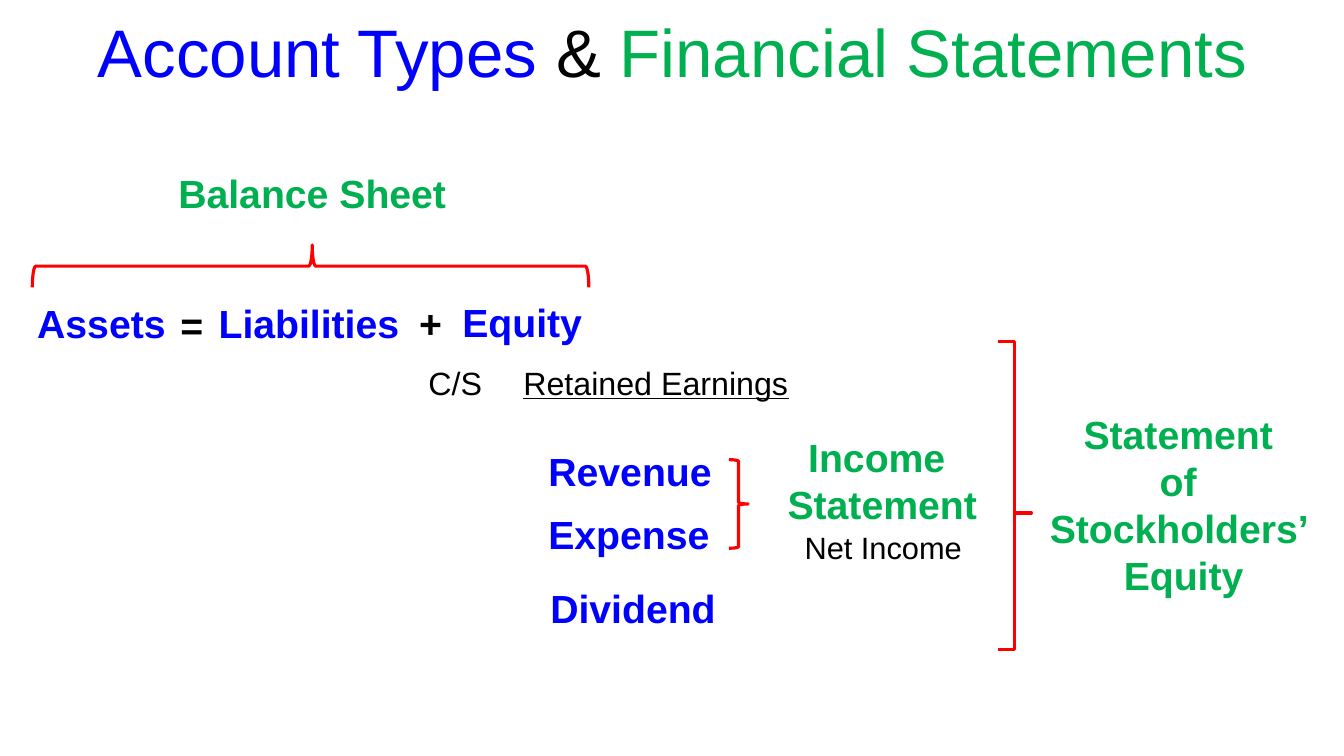
from pptx import Presentation
from pptx.dml.color import RGBColor as RGB
from pptx.enum.shapes import MSO_SHAPE as Shape
from pptx.enum.text import MSO_ANCHOR as Anchor, MSO_AUTO_SIZE as Auto, PP_ALIGN as Align
from pptx.util import Inches, Pt

HUES = {"type": "0000FF", "report": "00B050", "plain": "000000", "brace": "FF0000"}


def style(font, size, hue, bold=False, line=False):
    font.name = "Arial"
    font.size = Pt(size)
    font.bold = bold
    font.underline = line
    font.color.rgb = RGB.from_string(HUES[hue])


def text(slide, words, x, y, w, h, size=28, hue="type", bold=True,
         line=False, align=Align.LEFT, inset=True):
    box = slide.shapes.add_textbox(Inches(x), Inches(y), Inches(w), Inches(h))
    frame = box.text_frame
    frame.word_wrap = True
    if inset:
        frame.auto_size = Auto.SHAPE_TO_FIT_TEXT
    else:
        frame.margin_left = frame.margin_right = 0
        frame.margin_top = frame.margin_bottom = 0
    frame.text = words
    for para in frame.paragraphs:
        para.alignment = align
        for run in para.runs:
            style(run.font, size, hue, bold, line)


def brace(slide, x, y, w, h, curl=0.083, point=0.5, turn=0):
    form = slide.shapes.add_shape(
        Shape.RIGHT_BRACE, Inches(x), Inches(y), Inches(w), Inches(h))
    form.adjustments[0] = curl
    form.adjustments[1] = point
    form.rotation = turn
    form.fill.background()
    form.line.color.rgb = RGB.from_string(HUES["brace"])
    form.line.width = Pt(2.25)
    form.shadow.inherit = False


def heading(slide, x, y, w, h):
    title = slide.shapes.title
    title.left, title.top = Inches(x), Inches(y)
    title.width, title.height = Inches(w), Inches(h)
    frame = title.text_frame
    frame.vertical_anchor = Anchor.MIDDLE
    para = frame.paragraphs[0]
    para.alignment = Align.CENTER
    para.line_spacing = 0.9
    parts = [("Account Types", "type"), (" & ", "plain"),
             ("Financial Statements", "report")]
    for words, hue in parts:
        run = para.add_run()
        run.text = words
        style(run.font, 48, hue)


def balance(slide, x, y):
    text(slide, "Balance Sheet", x + 1.4, y, 2.88, 0.57, hue="report")
    span, depth = 5.52, 0.42
    mid_x, mid_y = x + 2.81, y + 1.01
    brace(slide, mid_x - depth / 2, mid_y - span / 2, depth, span,
          point=0.503, turn=270)
    terms = [("Assets", 0, 1.29, 1.62, "type"),
             ("=", 1.42, 1.31, 0.31, "plain"),
             ("Liabilities", 1.8, 1.29, 2.01, "type"),
             ("+", 3.79, 1.29, 0.33, "plain"),
             (" Equity", 4.11, 1.28, 1.51, "type")]
    for words, dx, dy, w, hue in terms:
        text(slide, words, x + dx, y + dy, w, 0.57, hue=hue)


def equity(slide, x, y):
    look = dict(size=23, hue="plain", bold=False, inset=False)
    text(slide, "C/S", x, y, 1.87, 0.45, **look)
    text(slide, "Retained Earnings", x + 0.94, y, 3.5, 0.45, line=True, **look)


def income(slide, x, y):
    for words, dx, dy, w in [("Revenue", 0, 0.14, 1.98),
                             ("Expense", 0, 0.76, 1.81),
                             ("Dividend", 0.02, 1.5, 2.21)]:
        text(slide, words, x + dx, y + dy, w, 0.57)
    brace(slide, x + 1.89, y + 0.31, 0.19, 0.88)
    text(slide, "Income \nStatement", x + 2.03, y, 2.76, 1.04,
         hue="report", align=Align.CENTER)
    text(slide, "Net Income", x + 2.23, y + 0.95, 2.38, 0.47, size=22,
         hue="plain", bold=False, align=Align.CENTER)


def holders(slide, x, y, h):
    brace(slide, x, y, 0.33, h, curl=0, point=0.557)
    text(slide, "Statement \nof \nStockholders’ \nEquity", x + 0.41, y + 0.63,
         2.86, 1.99, hue="report", align=Align.CENTER)


def main():
    deck = Presentation()
    deck.slide_width, deck.slide_height = Inches(13.33), Inches(7.5)
    slide = deck.slides.add_slide(deck.slide_layouts[5])
    heading(slide, 0.83, -0.17, 11.68, 1.45)
    balance(slide, 0.27, 1.63)
    equity(slide, 4.25, 3.6)
    income(slide, 5.34, 4.25)
    holders(slide, 9.9, 3.39, 3.05)
    deck.save("out.pptx")


if __name__ == "__main__":
    main()
